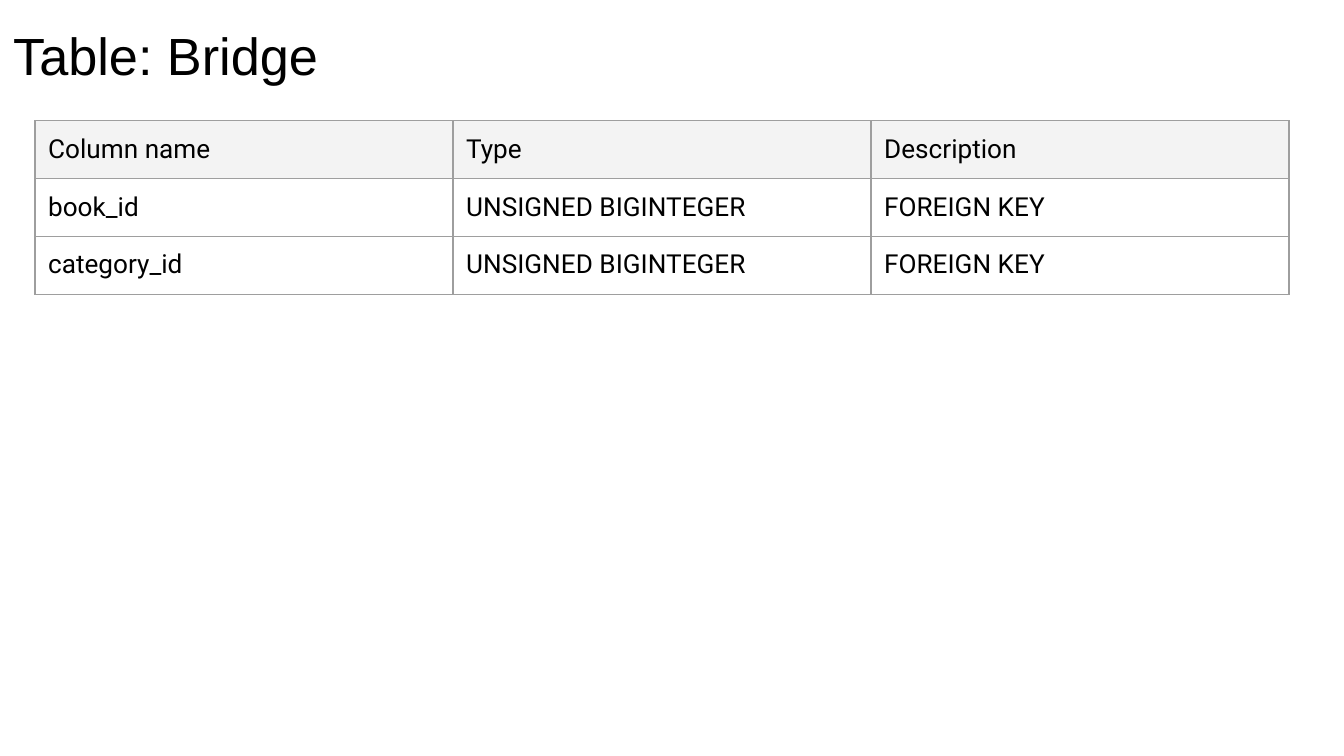
from dataclasses import dataclass

from lxml.etree import SubElement
from pptx import Presentation
from pptx.dml.color import RGBColor as RGB
from pptx.enum.text import MSO_ANCHOR as Anchor
from pptx.oxml.ns import qn
from pptx.util import Cm, Pt

COLORS = {"text": "000000", "header": "F3F3F3", "border": "9E9E9E"}
INSET = Cm(0.25)
COL_WIDTH = Cm(7.9)
ROW_HEIGHT = Cm(1.07)


@dataclass
class Column:
    name: str
    type: str
    description: str


COLUMNS = [
    Column("Column name", "Type", "Description"),
    Column("book_id", "UNSIGNED BIGINTEGER", "FOREIGN KEY"),
    Column("category_id", "UNSIGNED BIGINTEGER", "FOREIGN KEY"),
]


def add_text(tf, text: str, font: str, size: int) -> None:
    tf.margin_left = tf.margin_right = tf.margin_top = tf.margin_bottom = INSET
    tf.word_wrap = True
    r = tf.paragraphs[0].add_run()
    r.text = text
    r.font.name = font
    r.font.size = Pt(size)
    r.font.color.rgb = RGB.from_string(COLORS["text"])


def add_borders(cell) -> None:
    tc_pr = cell._tc.get_or_add_tcPr()
    for i, side in enumerate(("a:lnL", "a:lnR", "a:lnT", "a:lnB")):
        ln = SubElement(tc_pr, qn(side), w=str(Pt(0.75)))
        fill = SubElement(ln, qn("a:solidFill"))
        SubElement(fill, qn("a:srgbClr"), val=COLORS["border"])
        tc_pr.insert(i, ln)


def add_title(s, text: str) -> None:
    sp = s.shapes.add_textbox(Cm(0), Cm(0.15), Cm(14.53), Cm(1.73))
    tf = sp.text_frame
    tf.vertical_anchor = Anchor.BOTTOM
    add_text(tf, text, "Arial", 28)


def add_columns_table(s, columns: list[Column]) -> None:
    sp = s.shapes.add_table(len(columns), 3, Cm(0.66), Cm(2.28),
                            COL_WIDTH * 3, ROW_HEIGHT * len(columns))
    table = sp.table
    table.first_row = table.horz_banding = False
    for col in table.columns:
        col.width = COL_WIDTH
    for i, column in enumerate(columns):
        table.rows[i].height = ROW_HEIGHT
        for j, text in enumerate((column.name, column.type, column.description)):
            cell = table.cell(i, j)
            cell.margin_left = cell.margin_right = INSET
            cell.margin_top = cell.margin_bottom = INSET
            add_text(cell.text_frame, text, "Roboto", 14)
            if i == 0:
                cell.fill.solid()
                cell.fill.fore_color.rgb = RGB.from_string(COLORS["header"])
            else:
                cell.fill.background()
            add_borders(cell)


def main() -> None:
    prs = Presentation()
    prs.slide_width, prs.slide_height = Cm(25.4), Cm(14.29)
    s = prs.slides.add_slide(prs.slide_layouts[6])
    add_title(s, "Table: Bridge")
    add_columns_table(s, COLUMNS)
    prs.save("out.pptx")


if __name__ == "__main__":
    main()
